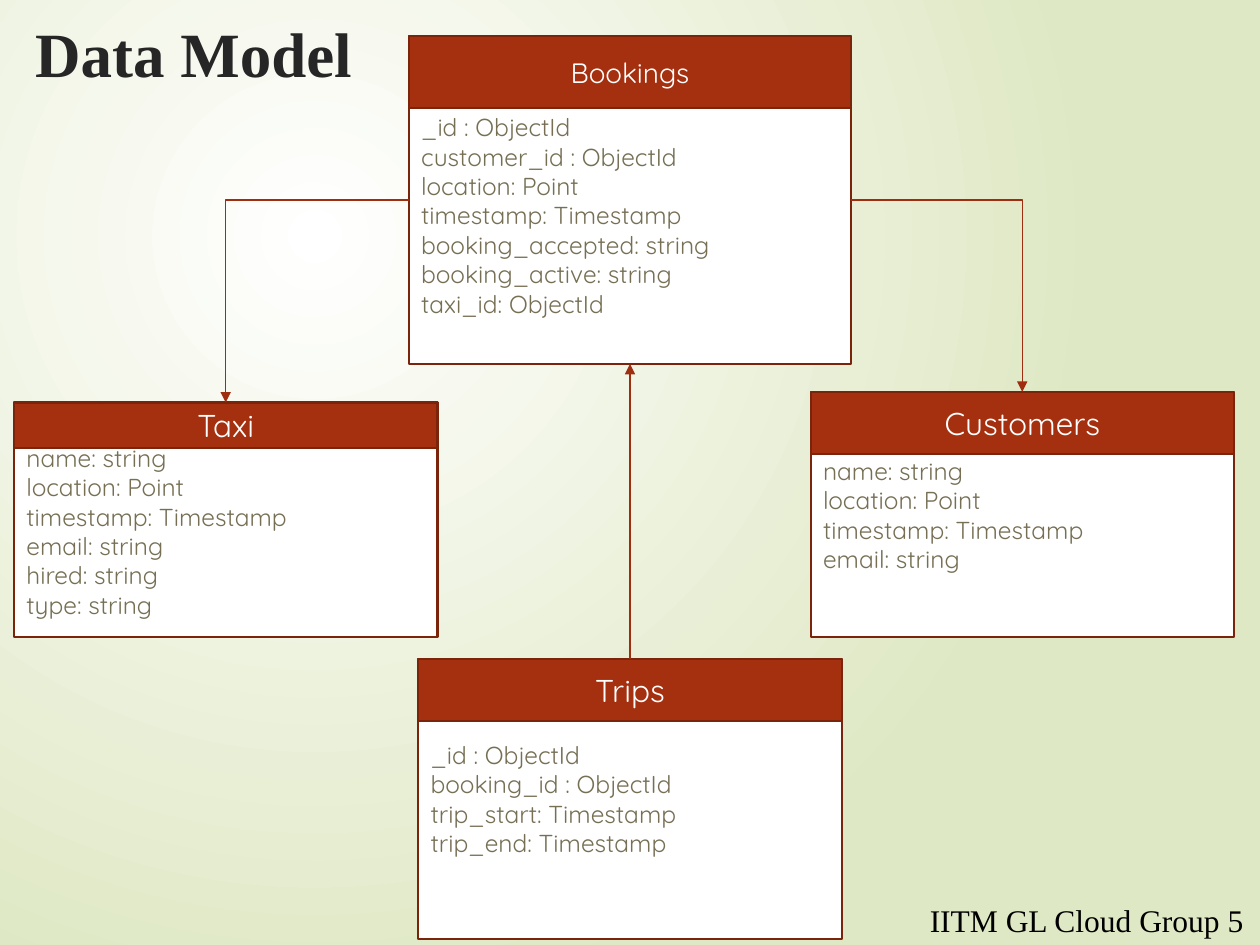
from lxml import etree
from pptx import Presentation
from pptx.dml.color import RGBColor
from pptx.enum.shapes import MSO_CONNECTOR, MSO_SHAPE
from pptx.enum.text import MSO_ANCHOR, PP_ALIGN
from pptx.oxml.ns import qn
from pptx.util import Pt

RECTANGLE = MSO_SHAPE.RECTANGLE
STRAIGHT, ELBOW = MSO_CONNECTOR.STRAIGHT, MSO_CONNECTOR.ELBOW
MIDDLE = MSO_ANCHOR.MIDDLE
LEFT, CENTER = PP_ALIGN.LEFT, PP_ALIGN.CENTER
TOP_SITE, LEFT_SITE, BOTTOM_SITE, RIGHT_SITE = range(4)


def color(hex_code):
    return RGBColor.from_string(hex_code)


class Diagram:
    SERIF, SANS = "Times New Roman", "Quicksand"
    RUST, BORDER, ARROW = "A53010", "7A240C", "9E2E0F"
    WHITE, OLIVE = "FFFFFF", "766F54"

    def __init__(self, page):
        self.page = page

    def background(self, inner, outer):
        fill = self.page.background.fill
        fill.gradient()
        for position, stop in enumerate(fill.gradient_stops):
            stop.position = position
            stop.color.rgb = color((inner, outer)[position])
        # Replace the linear direction by a circle
        gradient = self.page._element.find(".//" + qn("a:gradFill"))
        linear = gradient.find(qn("a:lin"))
        circle = etree.Element(qn("a:path"))
        circle.set("path", "circle")
        etree.SubElement(circle, qn("a:fillToRect"),
                         l="50000", t="50000", r="100000", b="100000")
        gradient.replace(linear, circle)

    def add_lines(self, box, lines, size, font, hex_code, align=LEFT, bold=False):
        frame = box.text_frame
        for number, line in enumerate(lines):
            para = frame.add_paragraph() if number else frame.paragraphs[0]
            para.alignment = align
            span = para.add_run()
            span.text = line
            span.font.size = Pt(size)
            span.font.name = font
            span.font.bold = bold
            span.font.color.rgb = color(hex_code)

    def label(self, text, left, top, width, height, size, hex_code,
              bold=False, wrap=True):
        box = self.page.shapes.add_textbox(Pt(left), Pt(top), Pt(width), Pt(height))
        box.text_frame.word_wrap = wrap
        box.text_frame.vertical_anchor = MIDDLE
        self.add_lines(box, [text], size, self.SERIF, hex_code, bold=bold)

    def panel(self, group, left, top, width, height, fill):
        box = group.shapes.add_shape(RECTANGLE, Pt(left), Pt(top), Pt(width), Pt(height))
        box.shadow.inherit = False
        box.fill.solid()
        box.fill.fore_color.rgb = color(fill)
        box.line.color.rgb = color(self.BORDER)
        box.line.width = Pt(1.25)
        box.text_frame.word_wrap = True
        box.text_frame.vertical_anchor = MIDDLE
        return box

    def entity(self, name, fields, left, top, width, height, header_height,
               size=18, extra_top=0):
        """Draw a header over a field list; extra_top pushes the fields down."""
        group = self.page.shapes.add_group_shape()
        body = self.panel(group, left, top, width, height, self.WHITE)
        body.text_frame.margin_top = Pt(3.6 + extra_top)
        self.add_lines(body, fields, 14, self.SANS, self.OLIVE)
        header = self.panel(group, left, top, width, header_height, self.RUST)
        self.add_lines(header, [name], size, self.SANS, self.WHITE, CENTER)
        return header, body

    def arrow(self, kind, source, source_site, target, target_site):
        line = self.page.shapes.add_connector(kind, 0, 0, 0, 0)
        line.begin_connect(source, source_site)
        line.end_connect(target, target_site)
        line.line.color.rgb = color(self.ARROW)
        line.line.width = Pt(0.75)
        properties = line._element.spPr
        if kind == ELBOW:  # a single bend
            properties.find(qn("a:prstGeom")).set("prst", "bentConnector2")
        etree.SubElement(properties.find(qn("a:ln")), qn("a:tailEnd"), type="triangle")
        etree.SubElement(properties, qn("a:effectLst"))


def main():
    deck = Presentation()
    deck.slide_width, deck.slide_height = Pt(720), Pt(540)
    diagram = Diagram(deck.slides.add_slide(deck.slide_layouts[6]))
    diagram.background("FFFFFF", "DFE8C4")

    # Title and footer
    diagram.label("Data Model", 13, 3.6, 519, 52.6, 36, "262626", bold=True)
    diagram.label("IITM GL Cloud Group 5", 524.2, 511.2, 195.8, 29, 18, "000000",
                  wrap=False)

    # Entities
    taxi, _ = diagram.entity(
        "Taxi",
        ["name: string", "location: Point", "timestamp: Timestamp",
         "email: string", "hired: string", "type: string"],
        8, 230, 242, 134, 26, extra_top=12.8)
    customers, _ = diagram.entity(
        "Customers",
        ["name: string", "location: Point", "timestamp: Timestamp", "email: string"],
        463.2, 224, 242, 140, 35.5)
    _, bookings = diagram.entity(
        "Bookings",
        ["_id : ObjectId", "customer_id : ObjectId", "location: Point",
         "timestamp: Timestamp", "booking_accepted: string",
         "booking_active: string", "taxi_id: ObjectId"],
        233.6, 20.5, 252.8, 187.5, 41.5, size=16, extra_top=17.2)
    trips, _ = diagram.entity(
        "Trips",
        ["_id : ObjectId", "booking_id : ObjectId", "trip_start: Timestamp",
         "trip_end: Timestamp"],
        239, 376.5, 242, 160, 35.5)

    # Relations
    diagram.arrow(ELBOW, bookings, RIGHT_SITE, customers, TOP_SITE)
    diagram.arrow(ELBOW, bookings, LEFT_SITE, taxi, TOP_SITE)
    diagram.arrow(STRAIGHT, trips, TOP_SITE, bookings, BOTTOM_SITE)

    deck.save("out.pptx")


if __name__ == "__main__":
    main()
